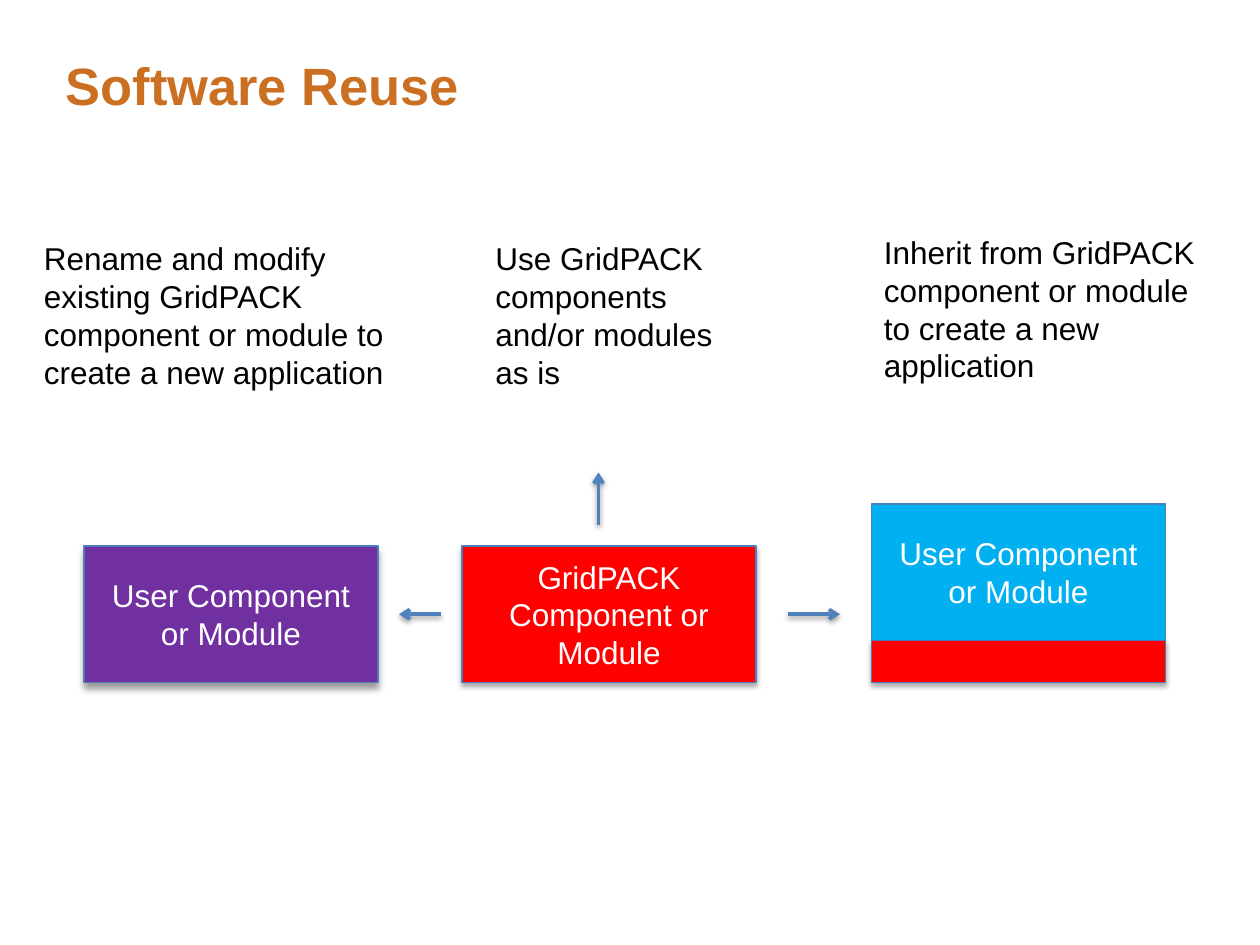
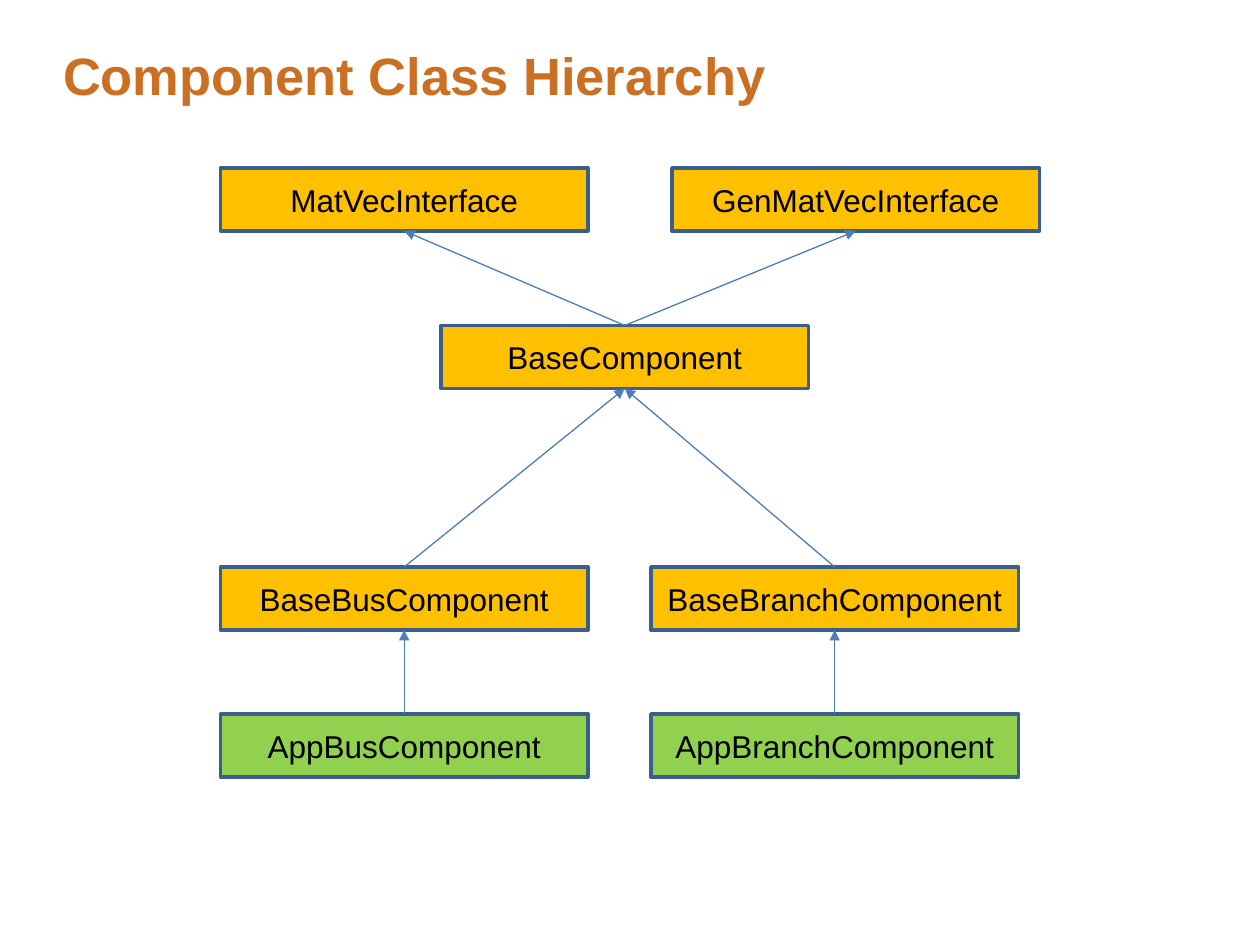
import pptx
import pptx.dml.color
import pptx.enum.shapes
import pptx.enum.text
import pptx.oxml
import pptx.oxml.ns
import pptx.util

COLUMNS, ROWS = 120, 90
CELL = pptx.util.Inches(10) // COLUMNS
FONT = "Arial"
TITLE, WHITE, BLACK = "CB7023", "FFFFFF", "000000"
RED, SKY, PURPLE = "FF0000", "00B0F0", "7030A0"
AMBER, GREEN = "FFC000", "92D050"
EDGE, DARK_EDGE, ARROW = "4B7EBC", "3A5F8C", "4F81BD"

# Opacity in percent, then blur and distance in points
BOX_SHADOW = (35, 3.1, 1.8)
DEEP_SHADOW = (40, 4, 3)
ARROW_SHADOW = (38, 3.1, 1.6)


def color(value):
    return pptx.dml.color.RGBColor.from_string(value)


def grid(*cells):
    return [round(cell * CELL) for cell in cells]


def set_line(shape, value, width):
    shape.line.color.rgb = color(value)
    shape.line.width = pptx.util.Pt(width)


def set_shadow(shape, shadow=None):
    """Give a shape whose line is already set a downward shadow, or none."""
    effects = pptx.oxml.parse_xml(f"<a:effectLst {pptx.oxml.ns.nsdecls('a')}/>")
    if shadow:
        opacity, blur, distance = shadow
        effects.append(pptx.oxml.parse_xml(
            f'<a:outerShdw {pptx.oxml.ns.nsdecls("a")} blurRad="{pptx.util.Pt(blur)}" '
            f'dist="{pptx.util.Pt(distance)}" dir="5400000" rotWithShape="0">'
            f'<a:srgbClr val="000000"><a:alpha val="{opacity * 1000}"/></a:srgbClr>'
            "</a:outerShdw>"))
    shape._element.spPr.append(effects)


def write(shape, text, value, size=18, bold=False, align="LEFT", anchor="TOP"):
    frame = shape.text_frame
    frame.word_wrap = True
    frame.vertical_anchor = getattr(pptx.enum.text.MSO_ANCHOR, anchor)
    frame.text = text
    para = frame.paragraphs[0]
    para.alignment = getattr(pptx.enum.text.PP_ALIGN, align)
    para.font.name = FONT
    para.font.size = pptx.util.Pt(size)
    para.font.bold = bold
    para.font.color.rgb = color(value)
    return frame


def add_page(deck, title, left, top):
    page = deck.slides.add_slide(deck.slide_layouts[5])
    holder = page.shapes.title
    holder.left, holder.top, holder.width, holder.height = grid(left, top, 107.6, 13)
    frame = write(holder, title, TITLE, size=30, bold=True)
    frame.margin_left = frame.margin_right = frame.margin_top = frame.margin_bottom = 0
    frame.auto_size = pptx.enum.text.MSO_AUTO_SIZE.NONE
    frame.paragraphs[0].line_spacing = 0.85
    return page


def add_box(page, place, fill, text="", ink=WHITE, edge=EDGE, width=0.75, shadow=None):
    box = page.shapes.add_shape(pptx.enum.shapes.MSO_SHAPE.RECTANGLE, *grid(*place))
    box.fill.solid()
    box.fill.fore_color.rgb = color(fill)
    set_line(box, edge, width)
    set_shadow(box, shadow)
    if text:
        write(box, text, ink, align="CENTER", anchor="MIDDLE")
    return box


def add_note(page, place, text):
    note = page.shapes.add_textbox(*grid(*place))
    frame = write(note, text, BLACK)
    frame.auto_size = pptx.enum.text.MSO_AUTO_SIZE.SHAPE_TO_FIT_TEXT


def add_arrow(page, ends, value, width, head, shadow=None):
    arrow = page.shapes.add_connector(
        pptx.enum.shapes.MSO_CONNECTOR.STRAIGHT, *grid(*ends))
    set_line(arrow, value, width)
    arrow._element.spPr.find(pptx.oxml.ns.qn("a:ln")).append(pptx.oxml.parse_xml(
        f'<a:tailEnd {pptx.oxml.ns.nsdecls("a")} type="{head}"/>'))
    set_shadow(arrow, shadow)
    return arrow


def add_class(page, column, row, name, fill=AMBER):
    return add_box(page, (column, row, 35, 6), fill, name, BLACK, DARK_EDGE, 2)


def add_inheritance(page, child, parent):
    arrow = add_arrow(page, (0, 0, 0, 0), EDGE, 0.75, "triangle")
    arrow.begin_connect(child, 0)
    arrow.end_connect(parent, 2)


def build_reuse(deck):
    page = add_page(deck, "Software Reuse", 6.25, 6)
    user = "User Component or Module"
    add_box(page, (44, 52, 28, 13), RED, "GridPACK Component or Module", shadow=BOX_SHADOW)
    add_box(page, (83, 61, 28, 4), RED, shadow=BOX_SHADOW)
    add_box(page, (83, 48, 28, 13), SKY, user)
    add_box(page, (8, 52, 28, 13), PURPLE, user, shadow=DEEP_SHADOW)

    add_note(page, (3, 22.2, 35, 15.7),
             "Rename and modify existing GridPACK component or module "
             "to create a new application")
    add_note(page, (46, 22.2, 25, 15.7), "Use GridPACK components and/or modules as is")
    add_note(page, (83, 21.6, 33, 15.7),
             "Inherit from GridPACK component or module to create a new application")

    for ends in ((42, 58.5, 38, 58.5), (75, 58.5, 80, 58.5), (57, 50, 57, 45)):
        add_arrow(page, ends, ARROW, 2, "arrow", ARROW_SHADOW)


def build_hierarchy(deck):
    page = add_page(deck, "Component Class Hierarchy", 6, 5)
    base = add_class(page, 42, 31, "BaseComponent")
    for column, name in ((21, "MatVecInterface"), (64, "GenMatVecInterface")):
        add_inheritance(page, base, add_class(page, column, 16, name))
    for column, kind in ((21, "Bus"), (62, "Branch")):
        base_kind = add_class(page, column, 54, f"Base{kind}Component")
        app_kind = add_class(page, column, 68, f"App{kind}Component", GREEN)
        add_inheritance(page, base_kind, base)
        add_inheritance(page, app_kind, base_kind)


def main():
    deck = pptx.Presentation()
    deck.slide_width, deck.slide_height = grid(COLUMNS, ROWS)
    build_reuse(deck)
    build_hierarchy(deck)
    deck.save("out.pptx")


if __name__ == "__main__":
    main()
